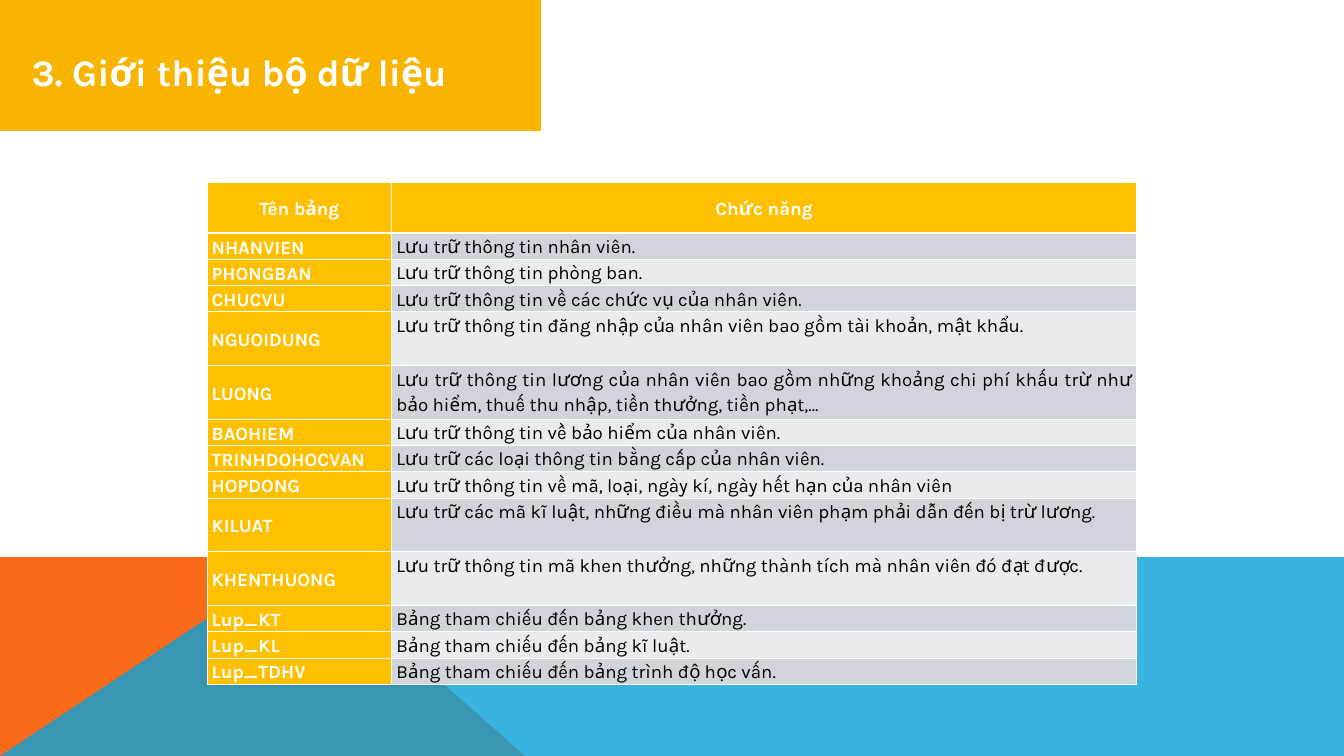
import dataclasses

import lxml.etree
import pptx
import pptx.dml.color
import pptx.enum.shapes
import pptx.enum.text
import pptx.oxml.ns
import pptx.util

ALIGN = pptx.enum.text.PP_ALIGN
ANCHOR = pptx.enum.text.MSO_ANCHOR


@dataclasses.dataclass(frozen=True)
class Theme:
    """Colours, font, type sizes in points and slide size in inches."""

    width: float = 20
    height: float = 11.25
    font: str = "Karla"
    title_size: int = 40
    table_size: int = 20
    white: str = "FFFFFF"
    black: str = "000000"
    orange: str = "F96A1B"
    blue: str = "08A1D9"
    banner: str = "F8B400"
    header: str = "FFC000"
    bands: tuple = ("D0D5DC", "E9EBEE")


THEME = Theme()
HORIZON = 73.69
COLUMN_WIDTHS = (13.75, 55.4)
HEADER_HEIGHT, LOW_ROW, TALL_ROW = 6.76, 3.47, 7.11
HEADINGS = ("Tên bảng", "Chức năng")
DATA_TABLES = (
    ("NHANVIEN", "Lưu trữ thông tin nhân viên.", LOW_ROW),
    ("PHONGBAN", "Lưu trữ thông tin phòng ban.", LOW_ROW),
    ("CHUCVU", "Lưu trữ thông tin về các chức vụ của nhân viên.", LOW_ROW),
    ("NGUOIDUNG", "Lưu trữ thông tin đăng nhập của nhân viên bao gồm tài khoản, mật khẩu.", TALL_ROW),
    ("LUONG", "Lưu trữ thông tin lương của nhân viên bao gồm những khoảng chi phí khấu trừ như "
     "bảo hiểm, thuế thu nhập, tiền thưởng, tiền phạt,…", TALL_ROW),
    ("BAOHIEM", "Lưu trữ thông tin về bảo hiểm của nhân viên.", LOW_ROW),
    ("TRINHDOHOCVAN", "Lưu trữ các loại thông tin bằng cấp của nhân viên.", LOW_ROW),
    ("HOPDONG", "Lưu trữ thông tin về mã, loại, ngày kí, ngày hết hạn của nhân viên", LOW_ROW),
    ("KILUAT", "Lưu trữ các mã kĩ luật, những điều mà nhân viên phạm phải dẫn đến bị trừ lương.", TALL_ROW),
    ("KHENTHUONG", "Lưu trữ thông tin mã khen thưởng, những thành tích mà nhân viên đó đạt được.", TALL_ROW),
    ("Lup_KT", "Bảng tham chiếu đến bảng khen thưởng.", LOW_ROW),
    ("Lup_KL", "Bảng tham chiếu đến bảng kĩ luật.", LOW_ROW),
    ("Lup_TDHV", "Bảng tham chiếu đến bảng trình độ học vấn.", LOW_ROW),
)


def across(percent):
    """Return a share of the slide width as a length."""
    return pptx.util.Inches(THEME.width * percent / 100)


def down(percent):
    """Return a share of the slide height as a length."""
    return pptx.util.Inches(THEME.height * percent / 100)


def rgb(colour):
    """Return a colour object for a hex string."""
    return pptx.dml.color.RGBColor.from_string(colour)


def apply_format(target, values):
    """Set every attribute named in values on target."""
    for name, value in values.items():
        setattr(target, name, value)


def add_element(parent, tag, **attributes):
    """Append a DrawingML element to parent and return it."""
    return lxml.etree.SubElement(parent, pptx.oxml.ns.qn(tag), attributes)


def paint(shape, colour, opacity=100):
    """Give a shape a flat fill without line or shadow."""
    shape.shadow.inherit = False
    shape.line.fill.background()
    shape.fill.solid()
    shape.fill.fore_color.rgb = rgb(colour)
    if opacity < 100:
        tint = shape.fill._xPr.find(".//" + pptx.oxml.ns.qn("a:srgbClr"))
        add_element(tint, "a:alpha", val=str(opacity * 1000))


def add_polygon(page, corners, colour, opacity=100):
    """Draw a closed outline through corners given as slide shares."""
    start, *others = [(across(x), down(y)) for x, y in corners]
    builder = page.shapes.build_freeform(*start, scale=1.0)
    builder.add_line_segments(others, close=True)
    paint(builder.convert_to_shape(), colour, opacity)


def write_text(frame, text, size, colour, bold, **paragraph_format):
    """Fill the first paragraph of a frame with one formatted span."""
    para = frame.paragraphs[0]
    apply_format(para, paragraph_format)
    span = para.add_run()
    span.text = text
    apply_format(span.font, {"name": THEME.font, "size": pptx.util.Pt(size), "bold": bold})
    span.font.color.rgb = rgb(colour)
    return para


def add_title(page, text):
    """Draw the banner and the title on it."""
    banner = page.shapes.add_shape(
        pptx.enum.shapes.MSO_SHAPE.RECTANGLE, 0, 0, across(40.25), down(17.33))
    paint(banner, THEME.banner)
    box = page.shapes.add_textbox(0, down(5.51), across(38.35), down(7.02))
    sides = ("left", "top", "right", "bottom")
    apply_format(box.text_frame, {"word_wrap": True, **{f"margin_{side}": 0 for side in sides}})
    para = write_text(box.text_frame, text, THEME.title_size, THEME.white, True,
                      level=1, line_spacing=pptx.util.Pt(56))
    apply_format(box.text_frame, {"auto_size": pptx.enum.text.MSO_AUTO_SIZE.SHAPE_TO_FIT_TEXT})
    para._p.get_or_add_pPr().set("marL", str(across(2.35)))


def add_borders(cell, bottom):
    """Give a cell white borders, with its own width at the bottom."""
    for side, width in {"L": 1, "R": 1, "T": 1, "B": bottom}.items():
        line = add_element(cell._tc.get_or_add_tcPr(), f"a:ln{side}", w=str(pptx.util.Pt(width)))
        add_element(add_element(line, "a:solidFill"), "a:srgbClr", val=THEME.white)


def fill_cell(cell, text, fill, colour, align, anchor, bottom=1):
    """Write and format one table cell."""
    side = across(0.35)
    apply_format(cell, {"margin_left": side, "margin_right": side, "margin_top": 0,
                        "margin_bottom": 0, "vertical_anchor": anchor})
    add_borders(cell, bottom)
    cell.fill.solid()
    cell.fill.fore_color.rgb = rgb(fill)
    write_text(cell.text_frame, text, THEME.table_size, colour, colour == THEME.white,
               alignment=align, line_spacing=1.15)


def add_data_table(page):
    """Draw the table that lists each data table and its purpose."""
    heights = [HEADER_HEIGHT] + [height for _, _, height in DATA_TABLES]
    table = page.shapes.add_table(
        len(heights), len(COLUMN_WIDTHS), across(15.4), down(24.09),
        across(sum(COLUMN_WIDTHS)), down(sum(heights))).table
    for column, width in zip(table.columns, COLUMN_WIDTHS):
        column.width = across(width)
    for row, height in zip(table.rows, heights):
        row.height = down(height)
    for column, heading in enumerate(HEADINGS):
        fill_cell(table.cell(0, column), heading, THEME.header, THEME.white,
                  ALIGN.CENTER, ANCHOR.MIDDLE, bottom=3)
    for row, (name, purpose, _) in enumerate(DATA_TABLES, start=1):
        band = THEME.bands[(row - 1) % 2]
        fill_cell(table.cell(row, 0), name, THEME.header, THEME.white, ALIGN.LEFT, ANCHOR.MIDDLE)
        fill_cell(table.cell(row, 1), purpose, band, THEME.black, ALIGN.JUSTIFY, ANCHOR.TOP)


def main():
    """Build the slide and save the deck."""
    deck = pptx.Presentation()
    apply_format(deck, {"slide_width": across(100), "slide_height": down(100)})
    page = deck.slides.add_slide(deck.slide_layouts[6])
    add_polygon(page, [(0, 100), (0, HORIZON), (22.35, HORIZON), (39.05, 100)], THEME.orange)
    add_polygon(page, [(0, 100), (22.3, HORIZON), (100, HORIZON), (100, 100)], THEME.blue, 80)
    add_title(page, "3. Giới thiệu bộ dữ liệu")
    add_data_table(page)
    deck.save("out.pptx")


if __name__ == "__main__":
    main()
